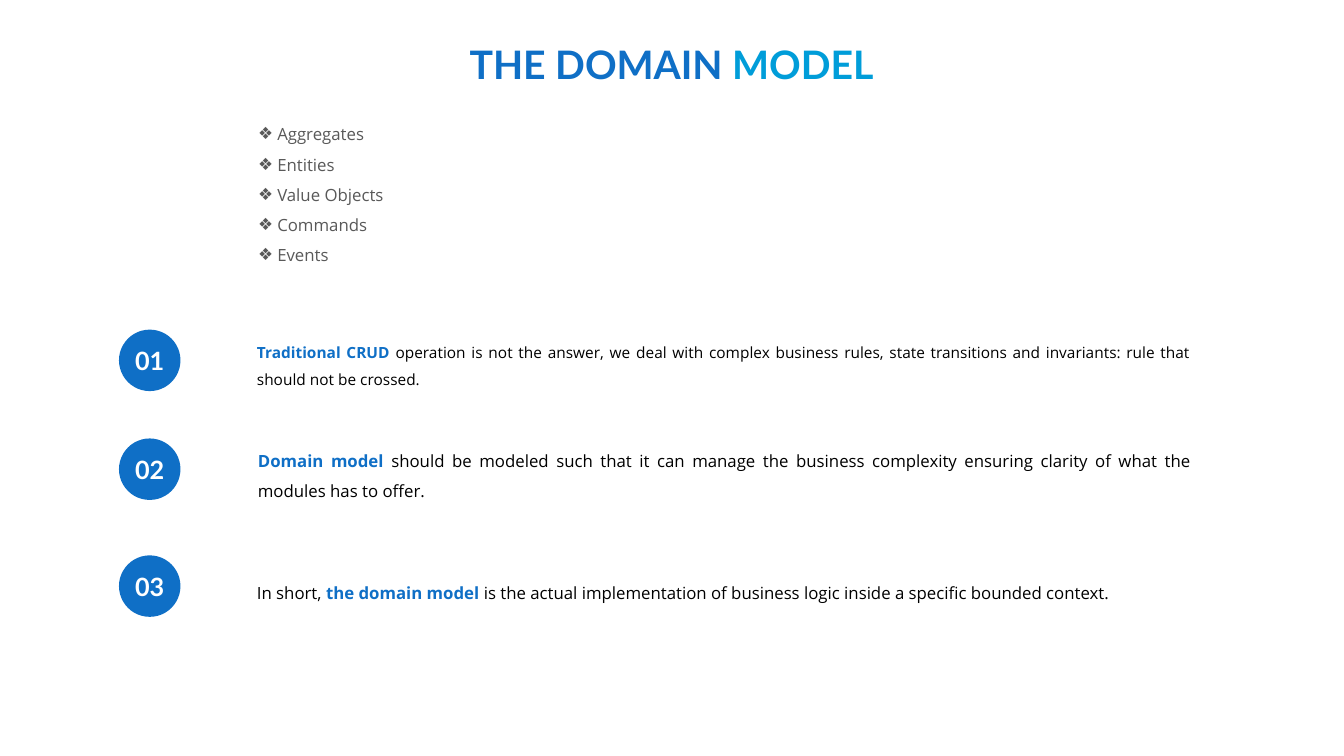
import lxml.etree
import pptx
import pptx.dml.color
import pptx.enum.shapes
import pptx.enum.text
import pptx.oxml.ns
import pptx.util

Inches = pptx.util.Inches
Align = pptx.enum.text.PP_ALIGN
Anchor = pptx.enum.text.MSO_ANCHOR

COLORS = {"blue": "0F6FC6", "cyan": "009DD9", "gray": "595959", "black": "000000", "white": "FFFFFF"}


class SlideBuilder:
    """Holds the style and the current slide, and adds each kind of element."""

    heading_font = "Lato"
    body_font = "Open Sans"

    def __init__(self, slide):
        self.slide = slide

    def color(self, name):
        return pptx.dml.color.RGBColor.from_string(COLORS[name])

    def place(self, shape, left, top, width, height):
        shape.left, shape.top = Inches(left), Inches(top)
        shape.width, shape.height = Inches(width), Inches(height)

    def prepare_frame(self, frame, anchor=Anchor.TOP):
        frame.word_wrap = True
        frame.auto_size = pptx.enum.text.MSO_AUTO_SIZE.NONE
        frame.vertical_anchor = anchor

    def format_paragraph(self, paragraph, font, size, alignment, spacing=1.0):
        paragraph.alignment = alignment
        paragraph.line_spacing = spacing
        paragraph.space_before = pptx.util.Pt(0)
        paragraph.font.name = font
        paragraph.font.size = pptx.util.Pt(size)

    def add_runs(self, paragraph, parts):
        for text, color, bold in parts:
            run = paragraph.add_run()
            run.text = text
            run.font.color.rgb = self.color(color)
            run.font.bold = bold

    def title(self, box, parts):
        shape = self.slide.shapes.title
        self.place(shape, *box)
        self.prepare_frame(shape.text_frame)
        paragraph = shape.text_frame.paragraphs[0]
        self.format_paragraph(paragraph, self.heading_font, 28, Align.CENTER)
        self.add_runs(paragraph, parts)

    def bullet_list(self, box, items):
        shape = self.slide.placeholders[1]
        self.place(shape, *box)
        frame = shape.text_frame
        self.prepare_frame(frame)
        frame.text = "\n".join(items)
        for paragraph in frame.paragraphs:
            properties = paragraph._p.get_or_add_pPr()
            properties.set("marL", str(Inches(0.19)))
            properties.set("indent", str(-Inches(0.19)))
            bullet = lxml.etree.SubElement(properties, pptx.oxml.ns.qn("a:buChar"))
            bullet.set("char", "❖")
            self.format_paragraph(paragraph, self.body_font, 12, Align.JUSTIFY, 1.5)
            paragraph.font.color.rgb = self.color("gray")

    def statement(self, box, size, parts):
        shape = self.slide.shapes.add_textbox(*map(Inches, box))
        self.prepare_frame(shape.text_frame)
        paragraph = shape.text_frame.paragraphs[0]
        self.format_paragraph(paragraph, self.body_font, size, Align.JUSTIFY, 1.5)
        self.add_runs(paragraph, parts)

    def badge(self, left, top, diameter, label):
        shape = self.slide.shapes.add_shape(
            pptx.enum.shapes.MSO_SHAPE.OVAL, *map(Inches, (left, top, diameter, diameter)))
        shape.shadow.inherit = False
        shape.fill.solid()
        shape.fill.fore_color.rgb = self.color("blue")
        shape.line.fill.background()
        frame = shape.text_frame
        self.prepare_frame(frame, Anchor.MIDDLE)
        frame.margin_left = frame.margin_right = frame.margin_top = frame.margin_bottom = 0
        frame.text = label
        paragraph = frame.paragraphs[0]
        self.format_paragraph(paragraph, self.heading_font, 18, Align.CENTER)
        paragraph.font.bold = True
        paragraph.font.color.rgb = self.color("white")


def main():
    presentation = pptx.Presentation()
    presentation.slide_width, presentation.slide_height = Inches(13.33), Inches(7.5)
    builder = SlideBuilder(presentation.slides.add_slide(presentation.slide_layouts[1]))

    builder.title((4.44, 0.35, 4.44, 0.57), [("THE DOMAIN ", "blue", True), ("MODEL", "cyan", True)])
    builder.bullet_list((2.46, 1.08, 9.45, 1.58),
                        ["Aggregates", "Entities", "Value Objects", "Commands", "Events"])

    statements = [
        (3.27, (2.45, 3.26, 9.46, 0.63), 11, [
            ("Traditional CRUD ", "blue", True),
            ("operation is not the answer, we deal with complex business rules, state transitions "
             "and invariants: rule that should not be crossed.", "black", False)]),
        (4.35, (2.46, 4.32, 9.46, 0.67), 12, [
            ("Domain model ", "blue", True),
            ("should be modeled such that it can manage the business complexity ensuring clarity "
             "of what the modules has to offer.", "black", False)]),
        (5.51, (2.45, 5.63, 9.46, 0.37), 12, [
            ("In short, ", "black", False),
            ("the domain model ", "blue", True),
            ("is the actual implementation of business logic inside a specific bounded context.",
             "black", False)]),
    ]
    for number, (badge_top, box, size, parts) in enumerate(statements, 1):
        builder.badge(1.18, badge_top, 0.61, f"{number:02}")
        builder.statement(box, size, parts)

    presentation.save("out.pptx")


if __name__ == "__main__":
    main()
